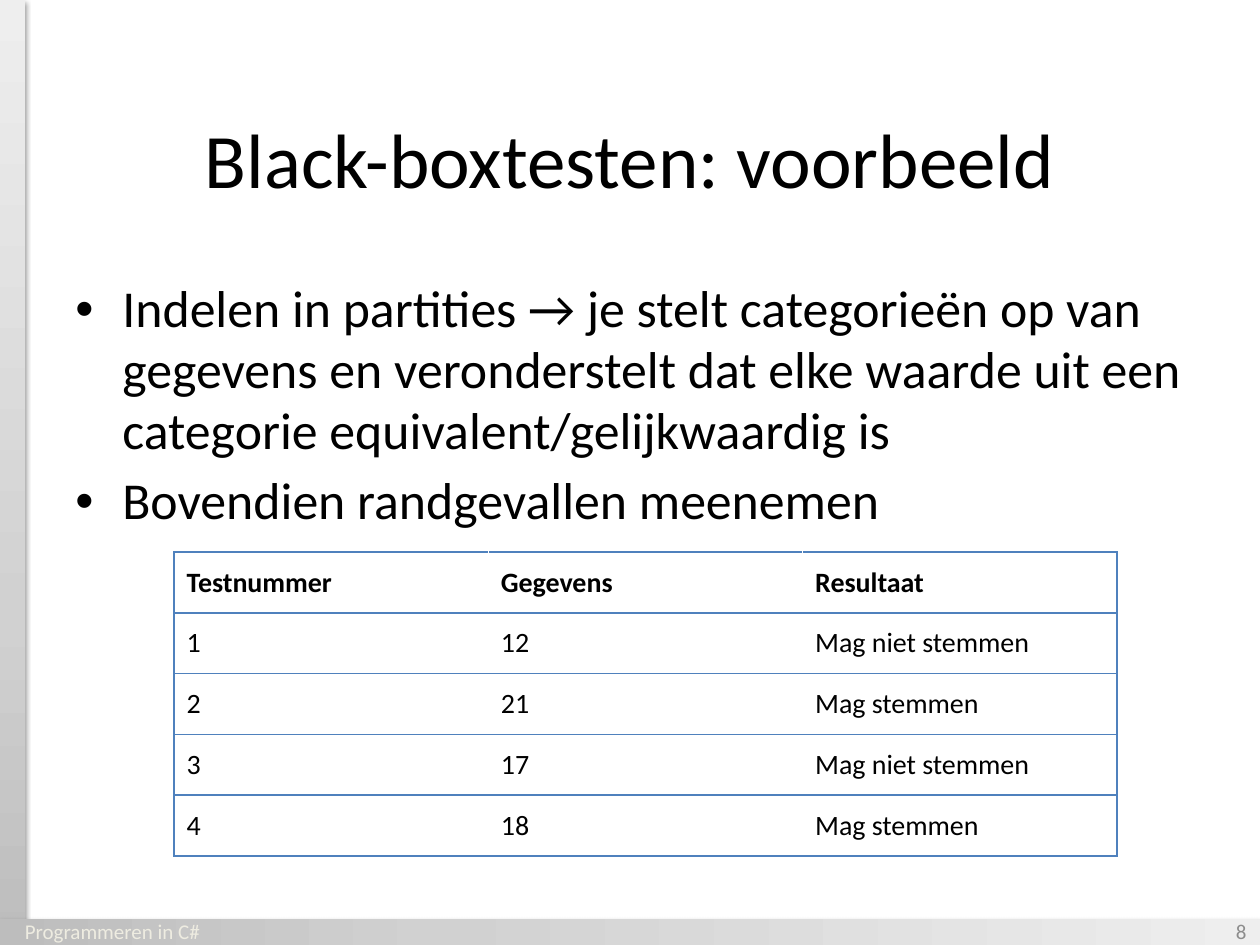
"""Build the slide with a black-box testing example and its test table."""
from copy import deepcopy
from typing import NamedTuple

from lxml.etree import SubElement
from pptx import Presentation
from pptx.dml.color import RGBColor
from pptx.enum.shapes import MSO_SHAPE as Preset
from pptx.enum.text import MSO_ANCHOR as Anchor, PP_ALIGN as Align
from pptx.oxml.ns import qn
from pptx.util import Emu, Pt

PX_PER_INCH = 126
FONT = "Calibri"
BLACK = RGBColor(0x00, 0x00, 0x00)
WHITE = RGBColor(0xFF, 0xFF, 0xFF)
CREAM = RGBColor(0xEE, 0xEC, 0xE1)
GRAY = RGBColor(0x8C, 0x8C, 0x8C)
BLUE = RGBColor(0x4F, 0x81, 0xBD)
BAR_STOPS = (
    (0.0, RGBColor(0xBD, 0xBD, 0xBD)),
    (0.35, RGBColor(0xD1, 0xD1, 0xD1)),
    (1.0, RGBColor(0xEE, 0xEE, 0xEE)),
)


class Area(NamedTuple):
    left: int
    top: int
    width: int
    height: int


class Bar(NamedTuple):
    area: Area
    rotation: int


class TextBlock(NamedTuple):
    area: Area
    lines: tuple[str, ...]
    size: float
    color: RGBColor = BLACK
    align: Align = Align.LEFT
    anchor: Anchor = Anchor.MIDDLE
    bulleted: bool = False


BARS = (
    Bar(Area(0, 0, 25, 945), 0),
    Bar(Area(617, 302, 26, 1260), 90),
)
TEXT_BLOCKS = (
    TextBlock(Area(63, 63, 1134, 189), ("Black-boxtesten: voorbeeld",), 44, align=Align.CENTER),
    TextBlock(
        Area(63, 273, 1134, 257),
        (
            "Indelen in partities → je stelt categorieën op van gegevens en "
            "veronderstelt dat elke waarde uit een categorie equivalent/gelijkwaardig is",
            "Bovendien randgevallen meenemen",
        ),
        29.6,
        anchor=Anchor.TOP,
        bulleted=True,
    ),
    TextBlock(Area(-87, 906, 399, 50), ("Programmeren in C#",), 12, CREAM, Align.CENTER),
    TextBlock(Area(965, 906, 294, 50), ("8",), 12, GRAY, Align.RIGHT),
)
TABLE_AREA = Area(174, 552, 943, 304)
TABLE_ROWS = (
    ("Testnummer", "Gegevens", "Resultaat"),
    ("1", "12", "Mag niet stemmen"),
    ("2", "21", "Mag stemmen"),
    ("3", "17", "Mag niet stemmen"),
    ("4", "18", "Mag stemmen"),
)


def px(length: int) -> Emu:
    """Turn pixels into EMU."""
    return Emu(round(length * 914400 / PX_PER_INCH))


def place(area: Area) -> tuple[Emu, ...]:
    """Turn an area into EMU lengths."""
    return tuple(px(length) for length in area)


def apply_format(target, values: dict) -> None:
    """Set each named attribute on the target."""
    for name, value in values.items():
        setattr(target, name, value)


def style_font(font, size: float, color: RGBColor, bold: bool = False) -> None:
    """Set the typeface, size, weight and colour of a font."""
    apply_format(font, {"name": FONT, "size": Pt(size), "bold": bold})
    font.color.rgb = color


def draw_bar(slide, bar: Bar) -> None:
    """Draw a gradient bar with a soft shadow."""
    shape = slide.shapes.add_shape(Preset.RECTANGLE, *place(bar.area))
    shape.rotation = bar.rotation
    shape.line.fill.background()
    shape.fill.gradient()
    shape.fill.gradient_angle = 90
    stop_list = shape.element.spPr.find(f".//{qn('a:gsLst')}")
    stop_list.append(deepcopy(stop_list[-1]))
    for stop, (position, color) in zip(shape.fill.gradient_stops, BAR_STOPS):
        stop.position = position
        stop.color.rgb = color
    shape.shadow.inherit = False
    effects = shape.element.spPr.find(qn("a:effectLst"))
    shadow = SubElement(
        effects, qn("a:outerShdw"), blurRad=str(Pt(3.1)), dist=str(Pt(1.6)),
        dir="5400000", rotWithShape="0",
    )
    shade = SubElement(shadow, qn("a:srgbClr"), val=str(BLACK))
    SubElement(shade, qn("a:alpha"), val="38000")


def add_bullet(para) -> None:
    """Give a paragraph a bullet with a hanging indent."""
    properties = para._p.get_or_add_pPr()
    properties.set("marL", str(px(47)))
    properties.set("indent", str(px(-47)))
    SubElement(properties, qn("a:buFont"), typeface="Arial")
    SubElement(properties, qn("a:buChar"), char="•")


def draw_text(slide, block: TextBlock) -> None:
    """Draw a text box with one paragraph per line."""
    frame = slide.shapes.add_textbox(*place(block.area)).text_frame
    apply_format(frame, {"word_wrap": True, "vertical_anchor": block.anchor})
    for index, line in enumerate(block.lines):
        para = frame.add_paragraph() if index else frame.paragraphs[0]
        para.alignment = block.align
        if block.bulleted:
            add_bullet(para)
            para.line_spacing = 0.98
        if index:
            para.space_before = Pt(5)
        span = para.add_run()
        span.text = line
        style_font(span.font, block.size, block.color)


def add_borders(cell, sides: str) -> None:
    """Draw blue borders on the given sides of a cell."""
    properties = cell._tc.get_or_add_tcPr()
    for side in sides:
        border = SubElement(properties, qn(f"a:ln{side}"), w=str(Pt(1)))
        fill = SubElement(border, qn("a:solidFill"))
        SubElement(fill, qn("a:srgbClr"), val=str(BLUE))


def draw_table(slide, area: Area, rows: tuple[tuple[str, ...], ...]) -> None:
    """Draw the test table with a bold heading row."""
    last_column = len(rows[0]) - 1
    table = slide.shapes.add_table(len(rows), len(rows[0]), *place(area)).table
    apply_format(table, {"first_row": False, "horz_banding": False})
    for row_index, row in enumerate(rows):
        for column, text in enumerate(row):
            cell = table.cell(row_index, column)
            left = "L" if column == 0 else ""
            right = "R" if column == last_column else ""
            add_borders(cell, f"{left}{right}TB")
            cell.fill.solid()
            cell.fill.fore_color.rgb = WHITE
            cell.vertical_anchor = Anchor.MIDDLE
            span = cell.text_frame.paragraphs[0].add_run()
            span.text = text
            style_font(span.font, 16, BLACK, bold=row_index == 0)


def main() -> None:
    """Build and save the deck."""
    deck = Presentation()
    apply_format(deck, {"slide_width": px(1260), "slide_height": px(945)})
    slide = deck.slides.add_slide(deck.slide_layouts[6])
    for bar in BARS:
        draw_bar(slide, bar)
    for block in TEXT_BLOCKS:
        draw_text(slide, block)
    draw_table(slide, TABLE_AREA, TABLE_ROWS)
    deck.save("out.pptx")


if __name__ == "__main__":
    main()
